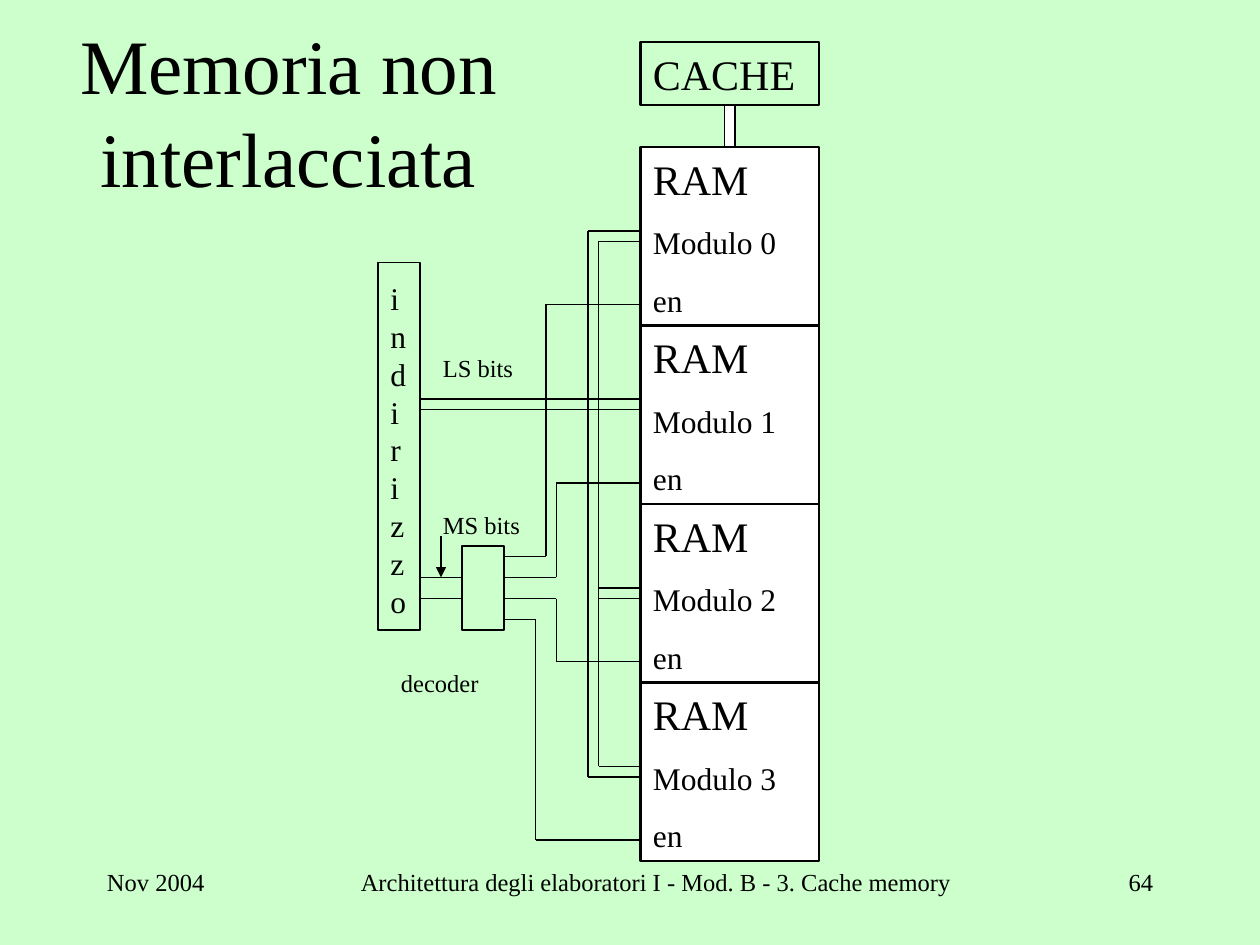
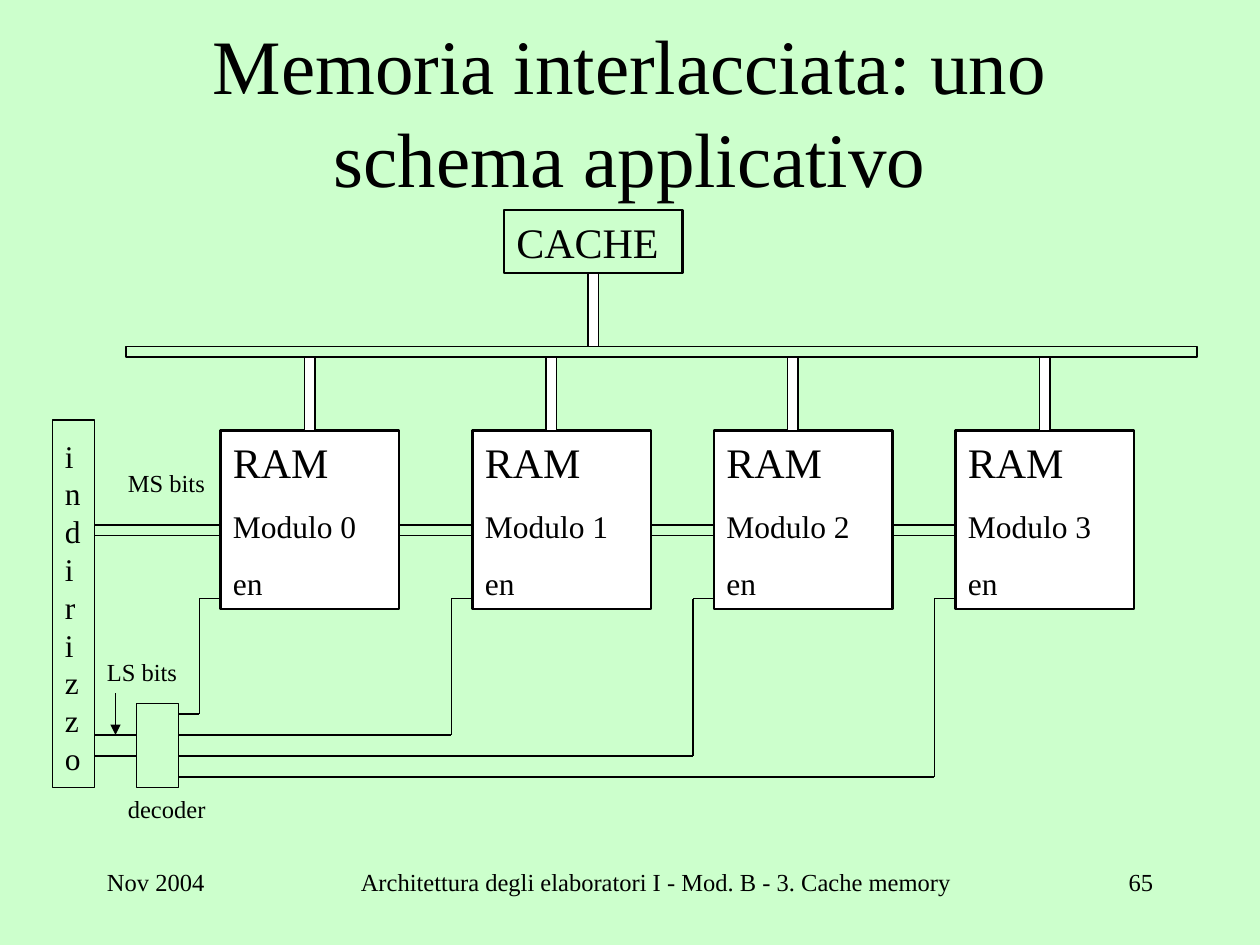
from itertools import pairwise

from lxml import etree
from pptx import Presentation
from pptx import util as u
from pptx.dml.color import RGBColor
from pptx.enum import shapes, text
from pptx.oxml import ns

COLUMNS, ROWS = 120, 90  # grid cells are a twelfth of an inch
MODULE_SIZE = 17
LEFT, CENTER, RIGHT = text.PP_ALIGN.LEFT, text.PP_ALIGN.CENTER, text.PP_ALIGN.RIGHT


def color(hex_string):
    return RGBColor.from_string(hex_string)


class Board:
    """Shared style plus the slide being drawn; lengths are grid cells."""

    font = "Times New Roman"
    ink, paper, ground = "000000", "FFFFFF", "CCFFCC"
    course = "Architettura degli elaboratori I - Mod. B - 3. Cache memory"

    def __init__(self, deck):
        self.deck = deck
        self.page = None

    def cells(self, *lengths):
        return [u.Emu(round(n * self.deck.slide_width / COLUMNS)) for n in lengths]

    def new_page(self, title, title_area, number):
        self.page = self.deck.slides.add_slide(self.deck.slide_layouts[6])
        fill = self.page.background.fill
        fill.solid()
        fill.fore_color.rgb = color(self.ground)
        heading = self.label(title, *title_area, size=44, align=CENTER)
        heading.text_frame.vertical_anchor = text.MSO_ANCHOR.MIDDLE
        # Footer
        self.label("Nov 2004", 9, 82, 20, 6)
        self.label(self.course, 32, 82, 61, 6, align=CENTER)
        self.label(str(number), 98, 82, 13, 6, align=RIGHT)

    def set_text(self, shape, lines, align=LEFT):
        """Fill a shape with (words, size) paragraphs."""
        frame = shape.text_frame
        frame.word_wrap = True
        frame.vertical_anchor = text.MSO_ANCHOR.TOP
        for index, (words, size) in enumerate(lines):
            para = frame.add_paragraph() if index else frame.paragraphs[0]
            para.text = words
            para.alignment = align
            para.font.name = self.font
            para.font.size = u.Pt(size)
            para.font.color.rgb = color(self.ink)
            if index:
                para.space_before = u.Pt(size * 0.625)

    def label(self, words, left, top, width=12, height=4, size=14, align=LEFT):
        box = self.page.shapes.add_textbox(*self.cells(left, top, width, height))
        self.set_text(box, [(words, size)], align)
        return box

    def box(self, left, top, width, height, fill=None, weight=0.75, lines=()):
        shape = self.page.shapes.add_shape(
            shapes.MSO_SHAPE.RECTANGLE, *self.cells(left, top, width, height))
        shape.shadow.inherit = False
        if fill:
            shape.fill.solid()
            shape.fill.fore_color.rgb = color(fill)
        else:
            shape.fill.background()
        shape.line.color.rgb = color(self.ink)
        shape.line.width = u.Pt(weight)
        self.set_text(shape, lines)

    def wire(self, *points, arrow=False):
        """Join the points with straight segments."""
        for start, end in pairwise(points):
            line = self.page.shapes.add_connector(
                shapes.MSO_CONNECTOR.STRAIGHT, *self.cells(*start, *end))
            line.line.color.rgb = color(self.ink)
            line.line.width = u.Pt(0.75)
            properties = line._element.spPr
            etree.SubElement(properties, ns.qn("a:effectLst"))
            if arrow:
                outline = properties.find(ns.qn("a:ln"))
                etree.SubElement(outline, ns.qn("a:tailEnd"), type="triangle")

    def cache(self, left, top):
        self.box(left, top, MODULE_SIZE, 6, weight=1.5, lines=[("CACHE", 24)])

    def link(self, left, top, height):
        self.box(left, top, 1, height, fill=self.paper)

    def module(self, index, left, top):
        self.box(left, top, MODULE_SIZE, MODULE_SIZE, fill=self.paper, weight=1.5,
                 lines=[("RAM", 24), (f"Modulo {index}", 18), ("en", 18)])

    def address(self, left, top):
        """Address register feeding the decoder; returns the decoder outputs."""
        self.box(left, top, 4, 35)
        self.label("indirizzo", left, top + 1, 4, 33.6, size=18)
        self.box(left + 8, top + 27, 4, 8)
        for row in (top + 30, top + 32):
            self.wire((left + 4, row), (left + 8, row))
        self.wire((left + 6, top + 26), (left + 6, top + 30), arrow=True)
        return [(left + 12, top + 28 + 2 * i) for i in range(4)]


def draw_sequential(board):
    board.new_page("Memoria non interlacciata", (4, 3, 47, 15), 64)
    module_left = 61
    module_tops = [14 + MODULE_SIZE * i for i in range(4)]
    board.cache(module_left, 4)
    outputs = board.address(36, 25)
    board.label("LS bits", 41, 33)
    board.label("MS bits", 41, 48)
    board.label("decoder", 37, 63)

    # Low bits reach every module
    for row in (38, 39):
        board.wire((40, row), (module_left, row))
    board.wire((module_left, 22), (56, 22), (56, 74), (module_left, 74))
    board.wire((module_left, 23), (57, 23), (57, 73), (module_left, 73))
    for row in (56, 57):
        board.wire((57, row), (module_left, row))

    # Enable wires
    for (start, row), bend, top in zip(outputs, (52, 53, 53, 51), module_tops):
        enable = top + 15
        board.wire((start, row), (bend, row), (bend, enable), (module_left, enable))

    for index, top in enumerate(module_tops):
        board.module(index, module_left, top)
    board.link(69, 10, 4)


def draw_interleaved(board):
    board.new_page("Memoria interlacciata: uno schema applicativo", (9, 3, 102, 15), 65)
    module_lefts, module_top = (21, 45, 68, 91), 41
    board.cache(48, 20)
    outputs = board.address(5, 40)
    board.label("MS bits", 11, 44)
    board.label("LS bits", 9, 62)
    board.label("decoder", 11, 75)

    # High bits pass behind the modules
    for row in (50, 51):
        board.wire((9, row), (100, row))

    # Enable wires
    enable = module_top + 16
    for (start, row), left in zip(outputs, module_lefts):
        bend = left - 2
        board.wire((start, row), (bend, row), (bend, enable), (left, enable))

    # Data bus and modules
    board.box(12, 33, 102, 1)
    board.link(56, 26, 7)
    for index, (left, link) in enumerate(zip(module_lefts, (29, 52, 75, 99))):
        board.module(index, left, module_top)
        board.link(link, 34, 7)


def main():
    deck = Presentation()
    deck.slide_width, deck.slide_height = u.Inches(COLUMNS / 12), u.Inches(ROWS / 12)
    board = Board(deck)
    draw_sequential(board)
    draw_interleaved(board)
    deck.save("out.pptx")


if __name__ == "__main__":
    main()
